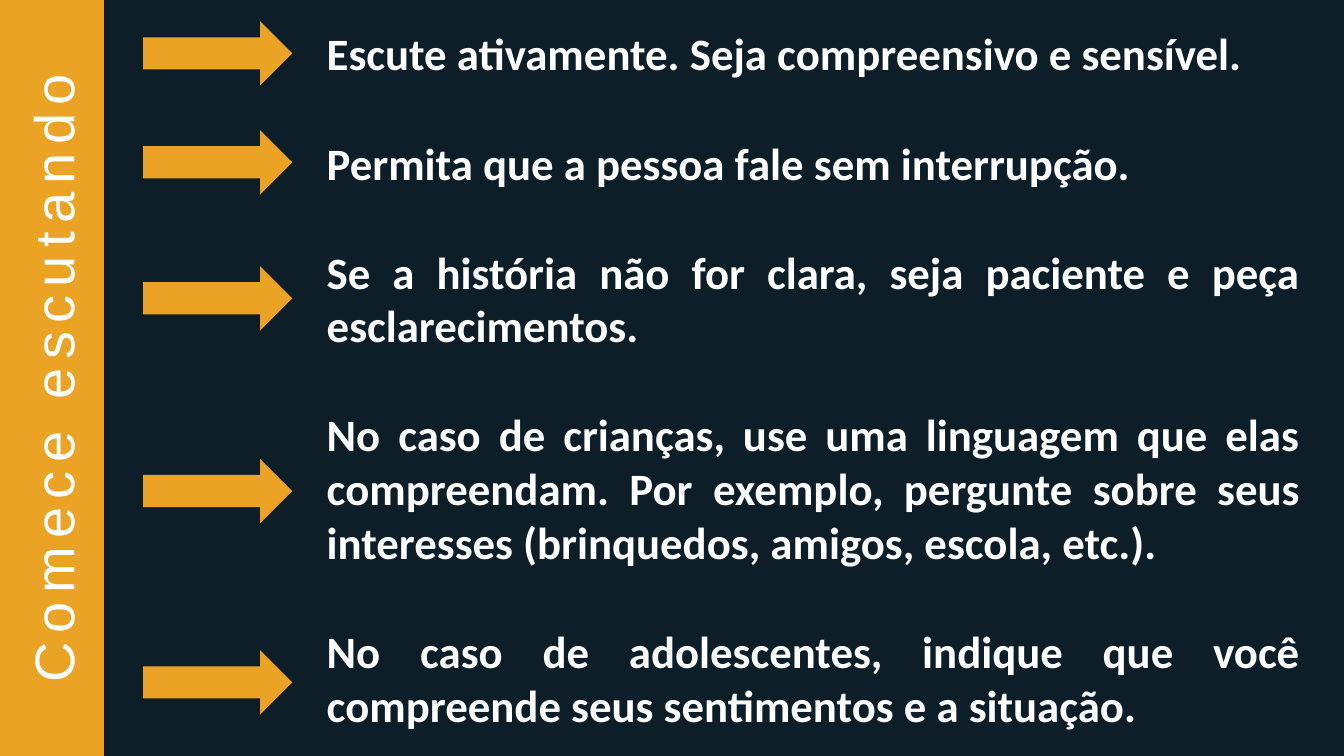
from dataclasses import dataclass

from lxml import etree
from pptx import Presentation, util as u
from pptx.dml.color import RGBColor
from pptx.enum import shapes, text
from pptx.oxml import ns


@dataclass(frozen=True)
class Theme:
    night: RGBColor = RGBColor(0x0D, 0x1E, 0x28)
    gold: RGBColor = RGBColor(0xEA, 0xA3, 0x25)
    white: RGBColor = RGBColor(0xFF, 0xFF, 0xFF)
    head: int = 40
    body: int = 32
    gap: float = 39.5


@dataclass(frozen=True)
class Tip:
    words: str
    lines: int
    nudge: float = 0


@dataclass(frozen=True)
class Box:
    """Place and size as percentages of the slide."""
    left: float
    top: float
    width: float
    height: float


THEME = Theme()
WIDTH, HEIGHT = u.Inches(13.33), u.Inches(7.5)
TOP, ROW = 2.8, 7.2
BAR = Box(0, 0, 7.73, 100)
LIST = Box(23.56, TOP, 73.97, 94.8)
TIPS = (
    Tip("Escute ativamente. Seja compreensivo e sensível.", 1),
    Tip("Permita que a pessoa fale sem interrupção.", 1),
    Tip("Se a história não for clara, seja paciente e peça esclarecimentos.", 2),
    Tip("No caso de crianças, use uma linguagem que elas compreendam. "
        "Por exemplo, pergunte sobre seus interesses "
        "(brinquedos, amigos, escola, etc.).", 3, 0.3),
    Tip("No caso de adolescentes, indique que você compreende "
        "seus sentimentos e a situação.", 2, 0.4),
)


def scale(box: Box) -> tuple[int, int, int, int]:
    """Turn percentages into slide lengths."""
    return (int(WIDTH * box.left / 100), int(HEIGHT * box.top / 100),
            int(WIDTH * box.width / 100), int(HEIGHT * box.height / 100))


def place(shape, box: Box) -> None:
    shape.left, shape.top, shape.width, shape.height = scale(box)


def stand(shape, box: Box) -> None:
    """Fill the box with a shape turned to read upwards."""
    left, top, width, height = scale(box)
    shift = (width - height) // 2
    shape.left, shape.top = left + shift, top - shift
    shape.width, shape.height = height, width
    shape.rotation = 270


def style(font, name: str, size: int, bold: bool) -> None:
    font.name, font.size, font.bold = name, u.Pt(size), bold
    font.color.rgb = THEME.white


def paint(shape) -> None:
    shape.fill.solid()
    shape.fill.fore_color.rgb = THEME.gold
    shape.line.fill.background()


def draw_bar(title) -> None:
    stand(title, BAR)
    paint(title)
    frame = title.text_frame
    frame.text = "Comece escutando"
    frame.auto_size = text.MSO_AUTO_SIZE.NONE
    frame.vertical_anchor = text.MSO_ANCHOR.MIDDLE
    line = frame.paragraphs[0]
    line.alignment = text.PP_ALIGN.CENTER
    run = line.runs[0]
    style(run.font, "Arial", THEME.head, False)
    run._r.get_or_add_rPr().set("spc", "600")


def draw_list(body) -> None:
    place(body, LIST)
    frame = body.text_frame
    frame.text = "\n".join(tip.words for tip in TIPS)
    frame.auto_size = text.MSO_AUTO_SIZE.NONE
    frame.vertical_anchor = text.MSO_ANCHOR.TOP
    for rank, line in enumerate(frame.paragraphs):
        props = line._p.get_or_add_pPr()
        props.set("marL", "0")
        props.set("indent", "0")
        etree.SubElement(props, ns.qn("a:buNone"))
        line.alignment = text.PP_ALIGN.JUSTIFY
        line.space_before = u.Pt(THEME.gap if rank else 0)
        style(line.runs[0].font, "Calibri", THEME.body, True)


def draw_arrows(slide) -> None:
    """Centre an arrow on each tip; one free row parts the tips."""
    row = 0
    for tip in TIPS:
        top = TOP + ROW * (row + (tip.lines - 1) / 2) + tip.nudge
        arrow = slide.shapes.add_shape(
            shapes.MSO_SHAPE.RIGHT_ARROW, *scale(Box(10.65, top, 11.1, 8.53)))
        arrow.shadow.inherit = False
        paint(arrow)
        row += tip.lines + 1


def main() -> None:
    deck = Presentation()
    deck.slide_width, deck.slide_height = WIDTH, HEIGHT
    slide = deck.slides.add_slide(deck.slide_layouts[1])
    slide.background.fill.solid()
    slide.background.fill.fore_color.rgb = THEME.night
    draw_bar(slide.shapes.title)
    draw_list(slide.placeholders[1])
    draw_arrows(slide)
    deck.save("out.pptx")


if __name__ == "__main__":
    main()
